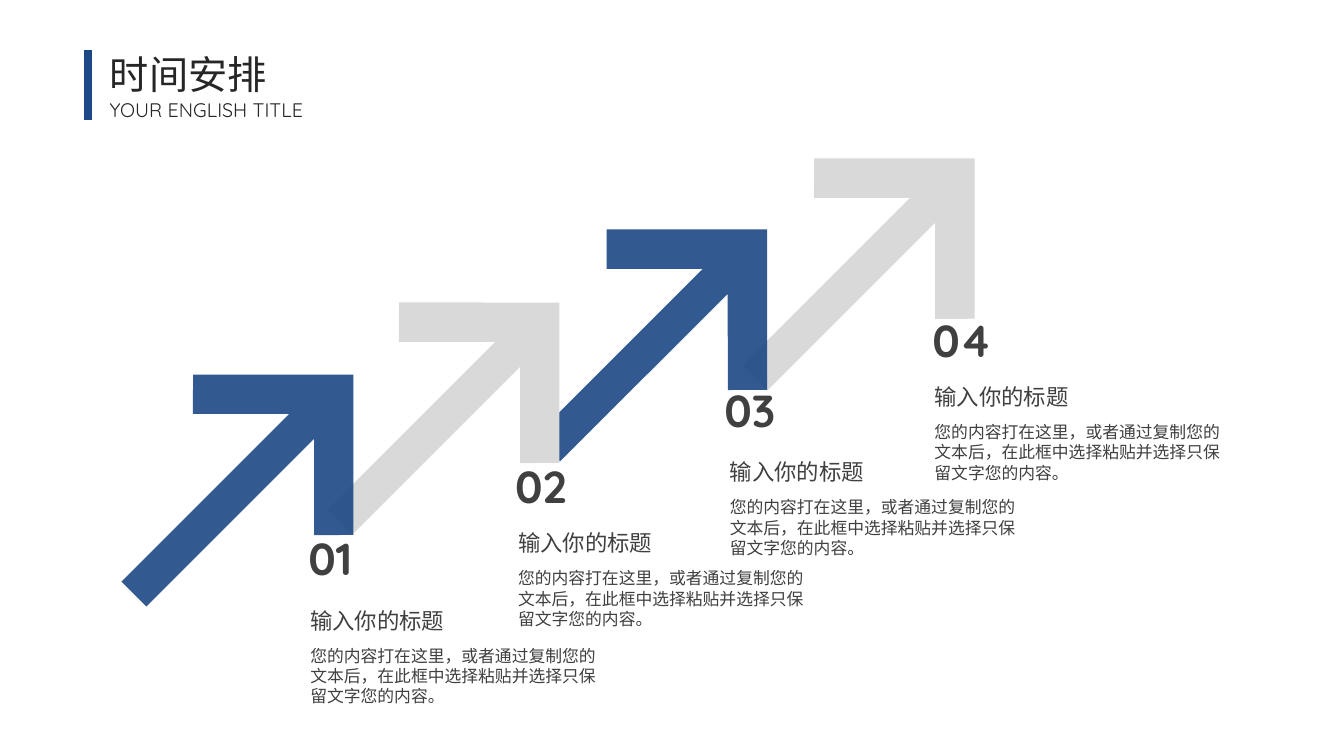
from dataclasses import dataclass

from lxml.etree import SubElement
from pptx import Presentation
from pptx.dml.color import RGBColor
from pptx.enum.shapes import MSO_CONNECTOR
from pptx.enum.text import MSO_ANCHOR, MSO_AUTO_SIZE, PP_ALIGN
from pptx.oxml.ns import qn
from pptx.util import Inches, Pt

COLORS = {"blue": "1C4885", "gray": "D9D9D9", "title": "262626", "text": "404040"}
CHINESE, LATIN = "Noto Sans CJK SC", "Quicksand"
HEADING = "输入你的标题"
DETAIL = "您的内容打在这里，或者通过复制您的文本后，在此框中选择粘贴并选择只保留文字您的内容。"
DETAIL_DROP = 3.87

# Arrow pointing left: one side measured from its tip, the other side mirrors it
ARROW_SIDE = [(11.25, 11.25), (14.03, 8.5), (7.28, 1.75), (30.8, 1.75)]
ARROW_OUTLINE = [(0, 0), *ARROW_SIDE, *((x, -y) for x, y in reversed(ARROW_SIDE))]
ARROW_HALF_HEIGHT = 11.25
ARROW_TURN = 135


@dataclass
class Step:
    number: str
    arrow_at: tuple
    number_at: tuple
    heading_at: tuple
    color: str
    opacity: int


STEPS = [
    Step("01", (8.77, 36.8), (29.6, 52.15), (29.8, 59.7), "blue", 90),
    Step("02", (29.2, 29.65), (50.1, 45), (50.4, 52), "gray", 100),
    Step("03", (49.8, 22.4), (70.85, 37.5), (71.4, 44.95), "blue", 90),
    Step("04", (70.37, 15.35), (91.5, 30.5), (91.7, 37.5), "gray", 100),
]


def grid(cells):
    """Convert grid columns or rows, ten to the inch, to a length."""
    return Inches(cells / 10)


def rgb(color):
    return RGBColor.from_string(COLORS[color])


def write(frame, text, *, size, font=CHINESE, color="text", bold=False,
          align=PP_ALIGN.LEFT):
    frame.word_wrap = True
    frame.auto_size = MSO_AUTO_SIZE.NONE
    frame.vertical_anchor = MSO_ANCHOR.TOP
    paragraph = frame.paragraphs[0]
    paragraph.alignment = align
    paragraph.space_before = Pt(0)
    if font == CHINESE:
        paragraph.line_spacing = Pt(size * 1.2)
    run = paragraph.add_run()
    run.text = text
    run.font.size = Pt(size)
    run.font.bold = bold
    run.font.color.rgb = rgb(color)
    run.font.name = font
    SubElement(run._r.get_or_add_rPr(), qn("a:ea")).set("typeface", font)


class SlideBuilder:
    def __init__(self, slide):
        self.slide = slide

    def title(self, text, left, top, width, height, **style):
        title = self.slide.shapes.title
        title.left, title.top = grid(left), grid(top)
        title.width, title.height = grid(width), grid(height)
        write(title.text_frame, text, **style)

    def text(self, text, left, top, width, height, **style):
        box = self.slide.shapes.add_textbox(*map(grid, (left, top, width, height)))
        write(box.text_frame, text, **style)

    def rule(self, start, end, color, weight):
        rule = self.slide.shapes.add_connector(
            MSO_CONNECTOR.STRAIGHT, *map(grid, (*start, *end)))
        rule.line.color.rgb = rgb(color)
        rule.line.width = Pt(weight)
        SubElement(rule._element.spPr, qn("a:effectLst"))

    def arrow(self, left, top, color, opacity):
        middle = top + ARROW_HALF_HEIGHT
        points = [(grid(left + x), grid(middle + y)) for x, y in ARROW_OUTLINE]
        builder = self.slide.shapes.build_freeform(*points[0])
        builder.add_line_segments(points[1:], close=True)
        arrow = builder.convert_to_shape()
        arrow.rotation = ARROW_TURN
        arrow.shadow.inherit = False
        arrow.line.fill.background()
        arrow.fill.solid()
        arrow.fill.fore_color.rgb = rgb(color)
        if opacity < 100:
            fill = arrow._element.spPr.find(qn("a:solidFill"))
            SubElement(fill[0], qn("a:alpha")).set("val", str(opacity * 1000))

    def caption(self, step):
        self.text(step.number, *step.number_at, 8.1, 6.4,
                  size=32, font=LATIN, bold=True)
        left, top = step.heading_at
        self.text(HEADING, left, top, 24.3, 3.7, size=16)
        self.text(DETAIL, left, top + DETAIL_DROP, 31.3, 7.1, size=12)


def main():
    presentation = Presentation()
    presentation.slide_width, presentation.slide_height = Inches(13.33), Inches(7.5)
    title_only = presentation.slide_layouts[5]
    page = SlideBuilder(presentation.slides.add_slide(title_only))

    page.title("时间安排", 9.9, 4.5, 27.8, 5.7, size=28, color="title")
    page.text("YOUR ENGLISH TITLE", 9.9, 9.2, 24.6, 3.4, size=14, font=LATIN,
              color="title", align=PP_ALIGN.JUSTIFY)
    page.rule((8.73, 5), (8.73, 11.9), "blue", 6)

    for step in reversed(STEPS):
        page.arrow(*step.arrow_at, step.color, step.opacity)
    for step in STEPS:
        page.caption(step)

    presentation.save("out.pptx")


if __name__ == "__main__":
    main()
